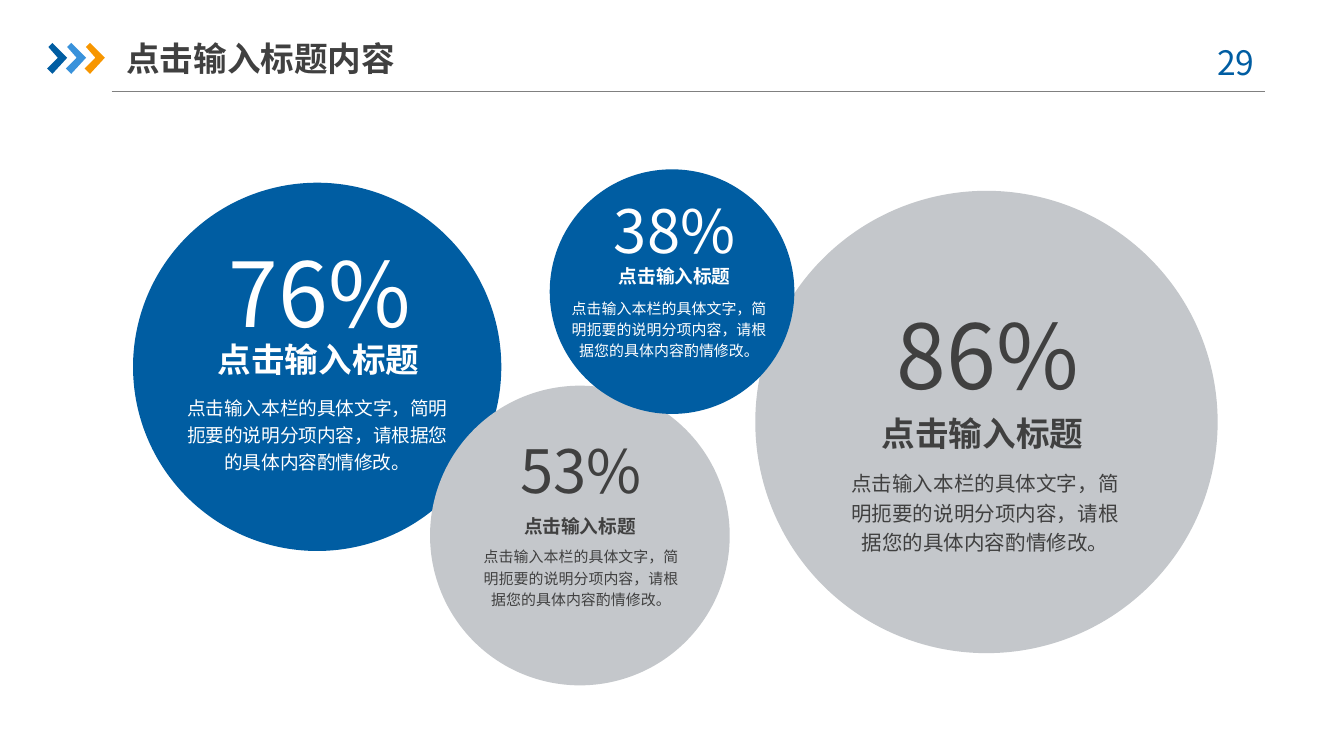
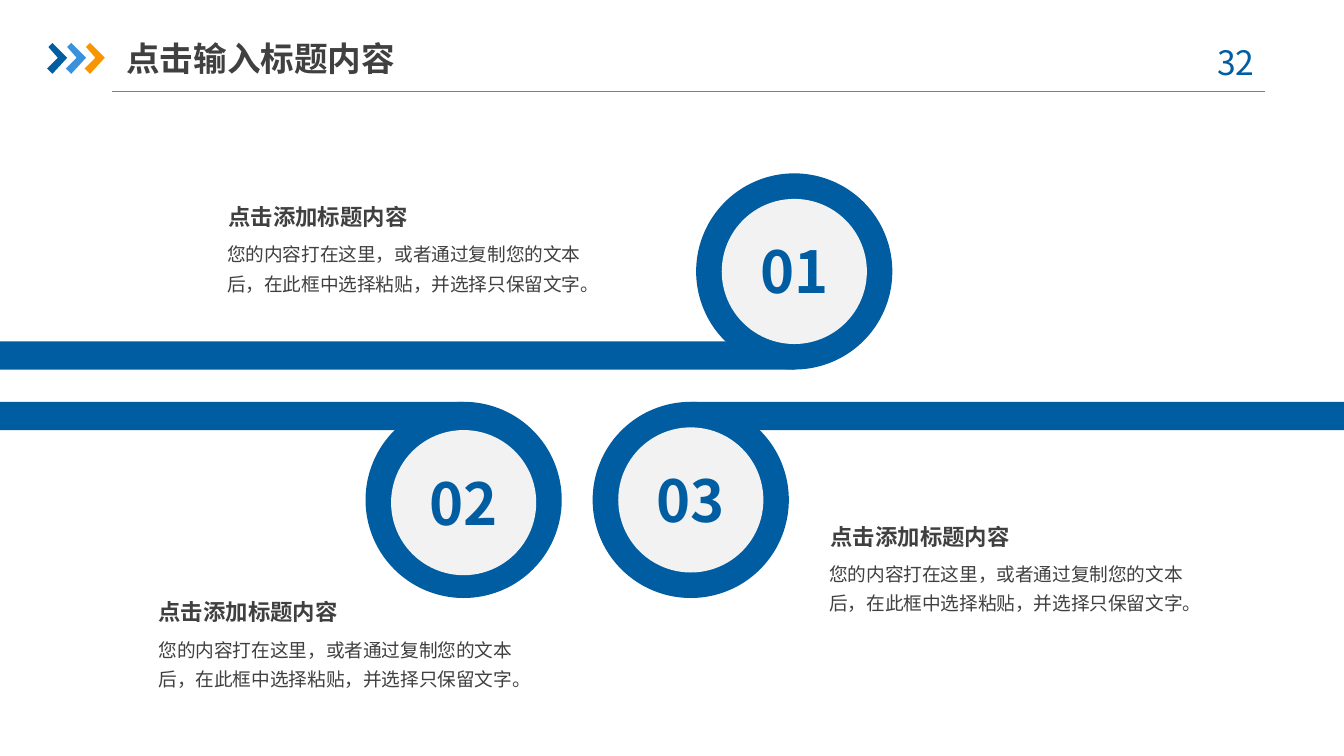
from lxml import etree
from pptx import Presentation, util as u
from pptx.dml import color
from pptx.enum import shapes, text
from pptx.oxml import ns

FONT = "Noto Sans CJK SC"
BLUE, SKY, GOLD = "005DA2", "3992DB", "F79600"
GREY, PALE, DARK, WHITE, RULE = "C4C7CB", "F2F2F2", "404040", "FFFFFF", "808080"
CENTER, LEFT = text.PP_ALIGN.CENTER, text.PP_ALIGN.LEFT
MIDDLE, TOP = text.MSO_ANCHOR.MIDDLE, text.MSO_ANCHOR.TOP
WIDE = 10
HIGH = WIDE * 9 / 16
TITLE = "点击输入标题内容"
HEAD = "点击输入标题"
BODY = "点击输入本栏的具体文字，简明扼要的说明分项内容，请根据您的具体内容酌情修改。"
NAME = "点击添加标题内容"
NOTE = "您的内容打在这里，或者通过复制您的文本后，在此框中选择粘贴，并选择只保留文字。"


def rgb(code):
    """Turn a hex string into a colour."""
    return color.RGBColor.from_string(code)


def write(shape, words, size, ink, bold=False, align=LEFT, pad=(0, 0, 0, 0),
          space=None, wrap=True, anchor=TOP):
    """Put one styled paragraph into a shape."""
    frame = shape.text_frame
    frame.text = words
    frame.word_wrap = wrap
    frame.vertical_anchor = anchor
    frame.margin_left, frame.margin_top, frame.margin_right, frame.margin_bottom = map(u.Inches, pad)
    para = frame.paragraphs[0]
    para.alignment = align
    if space:
        para.line_spacing = space
    font = para.runs[0].font
    font.name, font.size, font.bold = FONT, u.Pt(size), bold
    font.color.rgb = rgb(ink)
    mark = para.runs[0]._r.get_or_add_rPr()
    latin = mark.find(ns.qn("a:latin"))
    east = etree.Element(ns.qn("a:ea"), typeface=FONT)
    latin.addnext(east)


def label(slide, box, words, size, ink, **style):
    """Add a text box."""
    write(slide.shapes.add_textbox(*map(u.Inches, box)), words, size, ink, **style)


def paint(shape, fill):
    """Give a shape a flat fill without line or shadow."""
    shape.shadow.inherit = False
    shape.fill.solid()
    shape.fill.fore_color.rgb = rgb(fill)
    shape.line.fill.background()
    return shape


def block(slide, kind, box, fill):
    """Add a flat preset shape."""
    return paint(slide.shapes.add_shape(kind, *map(u.Inches, box)), fill)


def disc(slide, left, top, size, fill):
    """Add a flat circle."""
    return block(slide, shapes.MSO_SHAPE.OVAL, (left, top, size, size), fill)


def arrow(slide, left, top, fill):
    """Draw one chevron of the title mark."""
    marks = [(0.01, 0.03), (0.04, 0), (0.15, 0.11), (0.04, 0.23), (0, 0.19), (0.08, 0.11)]
    spots = [(u.Inches(left + x), u.Inches(top + y)) for x, y in marks]
    form = slide.shapes.build_freeform(*spots[0])
    form.add_line_segments(spots[1:])
    paint(form.convert_to_shape(), fill)


def header(slide, page):
    """Draw the rule, title mark, page number and title."""
    ends = map(u.Inches, (0.83, 0.68, 9.41, 0.68))
    line = slide.shapes.add_connector(shapes.MSO_CONNECTOR.STRAIGHT, *ends)
    line.line.color.rgb = rgb(RULE)
    line.line.width = u.Pt(0.75)
    etree.SubElement(line._element.spPr, ns.qn("a:effectLst"))
    for i, fill in enumerate((BLUE, SKY, GOLD)):
        arrow(slide, 0.35 + 0.14 * i, 0.32, fill)
    label(slide, (8.86, 0.26, 0.73, 0.4), f"{page} ", 18, BLUE,
          align=CENTER, pad=(0.1, 0.05, 0.1, 0.05))
    label(slide, (0.94, 0.22, 2.33, 0.42), TITLE, 18, DARK, bold=True,
          pad=(0, 0.05, 0, 0.05), anchor=MIDDLE)


def bubble(slide, left, top, size, fill, ink, rate, rows):
    """Draw a circle holding a rate, a heading and a body text."""
    disc(slide, left, top, size, fill)
    styles = [(rate, {"wrap": False}), (HEAD, {"wrap": False, "bold": True}),
              (BODY, {"space": 1.2})]
    for (words, style), (points, shift, drop, wide, high) in zip(styles, rows):
        box = (left + size / 2 + shift - wide / 2, top + drop, wide, high)
        label(slide, box, words, points, ink, align=CENTER, **style)


def rates(slide):
    """Fill the slide with four rate circles."""
    bubble(slide, 5.62, 1.42, 3.44, GREY, DARK, "86%",
           [(48, 0.01, 0.81, 1.39, 0.81), (18, -0.03, 1.65, 1.51, 0.3), (11, -0.01, 2.05, 2.12, 0.67)])
    bubble(slide, 0.99, 1.36, 2.74, BLUE, WHITE, "76%",
           [(48, 0.02, 0.41, 1.39, 0.81), (18, 0.01, 1.16, 1.51, 0.3), (10, 0, 1.56, 1.97, 0.61)])
    bubble(slide, 3.2, 2.87, 2.23, GREY, DARK, "53%",
           [(32, 0.01, 0.36, 0.93, 0.54), (10, 0, 0.96, 0.84, 0.17), (8, 0.01, 1.18, 1.53, 0.48)])
    bubble(slide, 4.09, 1.26, 1.82, BLUE, WHITE, "38%",
           [(32, 0.02, 0.18, 0.93, 0.54), (10, 0.02, 0.71, 0.84, 0.17), (8, -0.02, 0.94, 1.47, 0.48)])


def ring(slide, left, top, mark, right=False, low=False, drop=0.19):
    """Draw a numbered ring with a bar running to a slide edge."""
    size, thick, inner = 1.46, 0.21, 1.08
    mid = left + size / 2
    start, end = (mid, WIDE) if right else (0, mid)
    level = top + size - thick if low else top
    block(slide, shapes.MSO_SHAPE.RECTANGLE, (start, level, end - start, thick), BLUE)
    disc(slide, left, top, size, BLUE)
    core = disc(slide, left + (size - inner) / 2, top + drop, inner, PALE)
    write(core, mark, 31, BLUE, bold=True, align=CENTER, pad=(0.1, 0.04, 0.1, 0.05), anchor=MIDDLE)


def note(slide, left, top, wide=2.85, shift=0.01):
    """Place a heading above its note."""
    pad = (0.08, 0.04, 0.08, 0.04)
    label(slide, (left, top + 0.25, wide, 0.52), NOTE, 10, DARK, space=1.3, pad=pad)
    label(slide, (left + shift, top, 1.5, 0.28), NAME, 12, DARK, bold=True, wrap=False, pad=pad)


def steps(slide):
    """Fill the slide with three rings and their notes."""
    ring(slide, 2.72, 2.99, "02", drop=0.21)
    ring(slide, 5.18, 1.29, "01", low=True)
    ring(slide, 4.41, 2.99, "03", right=True)
    note(slide, 1.61, 1.47)
    note(slide, 1.1, 4.41, wide=2.89, shift=0)
    note(slide, 6.09, 3.85)


def main():
    """Build and save the deck."""
    deck = Presentation()
    deck.slide_width, deck.slide_height = u.Inches(WIDE), u.Inches(HIGH)
    for page, fill in ((29, rates), (32, steps)):
        slide = deck.slides.add_slide(deck.slide_layouts[6])
        header(slide, page)
        fill(slide)
    deck.save("out.pptx")


if __name__ == "__main__":
    main()
